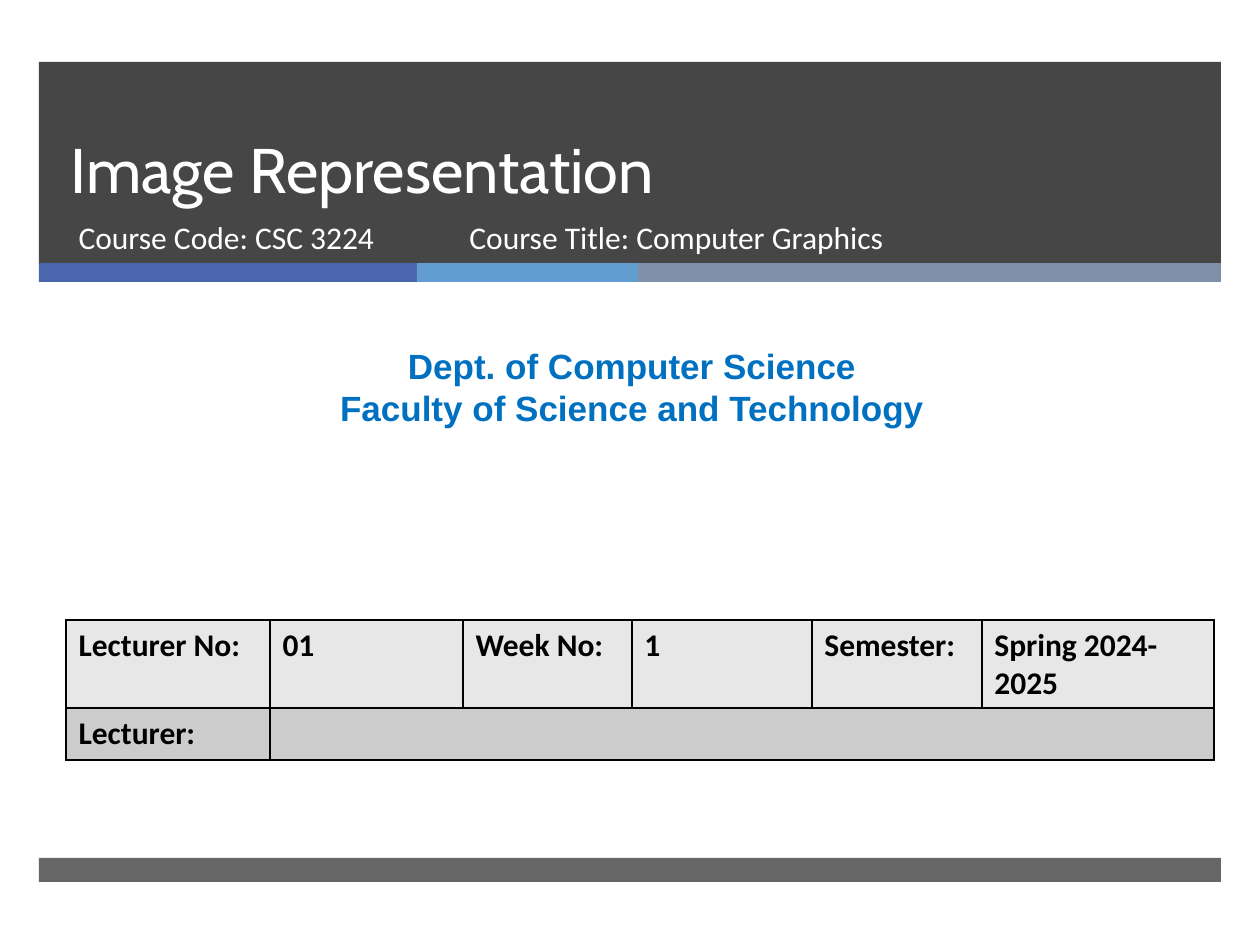
from typing import NamedTuple, Optional

import pptx
import pptx.dml.color
import pptx.enum.shapes
import pptx.enum.text
import pptx.oxml
import pptx.oxml.ns
import pptx.util

RGBColor = pptx.dml.color.RGBColor
PP_ALIGN = pptx.enum.text.PP_ALIGN
MSO_ANCHOR = pptx.enum.text.MSO_ANCHOR

PX_PER_INCH = 126
WHITE = RGBColor(0xFF, 0xFF, 0xFF)
BLACK = RGBColor(0x00, 0x00, 0x00)
CHARCOAL = RGBColor(0x26, 0x26, 0x26)
INDIGO = RGBColor(0x4A, 0x66, 0xAC)
SKY = RGBColor(0x62, 0x9D, 0xD1)
SLATE = RGBColor(0x7F, 0x8F, 0xA9)
DEPARTMENT_BLUE = RGBColor(0x00, 0x70, 0xC0)
ROW_FILLS = (RGBColor(0xE7, 0xE7, 0xE7), RGBColor(0xCC, 0xCC, 0xCC))


class Area(NamedTuple):
    left: int
    top: int
    width: int
    height: int


class Band(NamedTuple):
    area: Area
    color: RGBColor
    opacity: int = 100


class Style(NamedTuple):
    font: str
    size: int
    color: RGBColor
    bold: bool = False
    align: PP_ALIGN = PP_ALIGN.LEFT
    line_points: Optional[int] = None


TITLE = Style("Cabin", 36, WHITE, line_points=46)
COURSE = Style("Calibri", 18, WHITE)
DEPARTMENT = Style("Arial", 20, DEPARTMENT_BLUE, True, PP_ALIGN.CENTER)
CELL = Style("Calibri", 18, BLACK, True)

BANDS = (
    Band(Area(39, 62, 1182, 202), CHARCOAL, 85),
    Band(Area(39, 263, 378, 19), INDIGO),
    Band(Area(417, 263, 221, 19), SKY),
    Band(Area(638, 263, 583, 19), SLATE),
    Band(Area(39, 858, 1182, 24), CHARCOAL, 70),
)

TABLE_AREA = Area(66, 620, 1148, 104)
COLUMN_WIDTHS = (204, 193, 169, 180, 170, 232)
TABLE_ROWS = (
    ("Lecturer No:", "01", "Week No:", "1", "Semester:", "Spring 2024-2025"),
    ("Lecturer:", "", "", "", "", ""),
)


def px(length: int) -> pptx.util.Emu:
    return pptx.util.Emu(round(length * 914400 / PX_PER_INCH))


def place(shape, area: Area) -> None:
    shape.left, shape.top, shape.width, shape.height = map(px, area)


def write(frame, lines: tuple[str, ...], style: Style) -> None:
    frame.text = "\n".join(lines)
    for para in frame.paragraphs:
        para.alignment = style.align
        para.space_before = pptx.util.Pt(0)
        if style.line_points:
            para.line_spacing = pptx.util.Pt(style.line_points)
        para.font.name = style.font
        para.font.size = pptx.util.Pt(style.size)
        para.font.bold = style.bold
        para.font.color.rgb = style.color


def draw_band(slide, band: Band) -> None:
    shape = slide.shapes.add_shape(
        pptx.enum.shapes.MSO_SHAPE.RECTANGLE, *map(px, band.area))
    shape.shadow.inherit = False
    shape.fill.solid()
    shape.fill.fore_color.rgb = band.color
    shape.line.fill.background()
    if band.opacity < 100:
        color = shape.fill._xPr.find(".//" + pptx.oxml.ns.qn("a:srgbClr"))
        alpha = pptx.oxml.parse_xml(
            f'<a:alpha {pptx.oxml.ns.nsdecls("a")} val="{band.opacity * 1000}"/>')
        color.append(alpha)


def fill_placeholder(slide, shape, area: Area, text: str, style: Style,
                     anchor: MSO_ANCHOR) -> None:
    """Format a placeholder and bring it in front of the bands."""
    slide.shapes._spTree.append(shape._element)
    place(shape, area)
    frame = shape.text_frame
    frame.vertical_anchor = anchor
    frame.auto_size = pptx.enum.text.MSO_AUTO_SIZE.NONE
    write(frame, (text,), style)


def draw_text(slide, area: Area, lines: tuple[str, ...], style: Style) -> None:
    frame = slide.shapes.add_textbox(*map(px, area)).text_frame
    frame.word_wrap = True
    write(frame, lines, style)


def border_cell(cell) -> None:
    properties = cell._tc.get_or_add_tcPr()
    for index, side in enumerate(("lnL", "lnR", "lnT", "lnB")):
        properties.insert(index, pptx.oxml.parse_xml(
            f'<a:{side} {pptx.oxml.ns.nsdecls("a")} w="12700"><a:solidFill>'
            f'<a:srgbClr val="{BLACK}"/></a:solidFill></a:{side}>'))


def draw_lecture_table(slide) -> None:
    table = slide.shapes.add_table(
        len(TABLE_ROWS), len(COLUMN_WIDTHS), *map(px, TABLE_AREA)).table
    for column, width in zip(table.columns, COLUMN_WIDTHS):
        column.width = px(width)
    for row_index, (texts, fill) in enumerate(zip(TABLE_ROWS, ROW_FILLS)):
        for column_index, text in enumerate(texts):
            cell = table.cell(row_index, column_index)
            write(cell.text_frame, (text,), CELL)
            cell.fill.solid()
            cell.fill.fore_color.rgb = fill
            border_cell(cell)
    table.cell(1, 1).merge(table.cell(1, len(COLUMN_WIDTHS) - 1))


def main() -> None:
    deck = pptx.Presentation()
    deck.slide_width = pptx.util.Inches(10)
    deck.slide_height = pptx.util.Inches(7.5)
    slide = deck.slides.add_slide(deck.slide_layouts[0])

    for band in BANDS:
        draw_band(slide, band)
    fill_placeholder(slide, slide.shapes.title, Area(58, 62, 1076, 150),
                     "Image Representation", TITLE, MSO_ANCHOR.BOTTOM)
    fill_placeholder(slide, slide.placeholders[1], Area(66, 212, 384, 67),
                     "Course Code: CSC 3224", COURSE, MSO_ANCHOR.TOP)
    draw_text(slide, Area(10, 338, 1244, 97),
              ("Dept. of Computer Science", "Faculty of Science and Technology"),
              DEPARTMENT)
    draw_lecture_table(slide)
    draw_text(slide, Area(457, 212, 573, 67),
              ("Course Title: Computer Graphics",), COURSE)
    deck.save("out.pptx")


if __name__ == "__main__":
    main()
